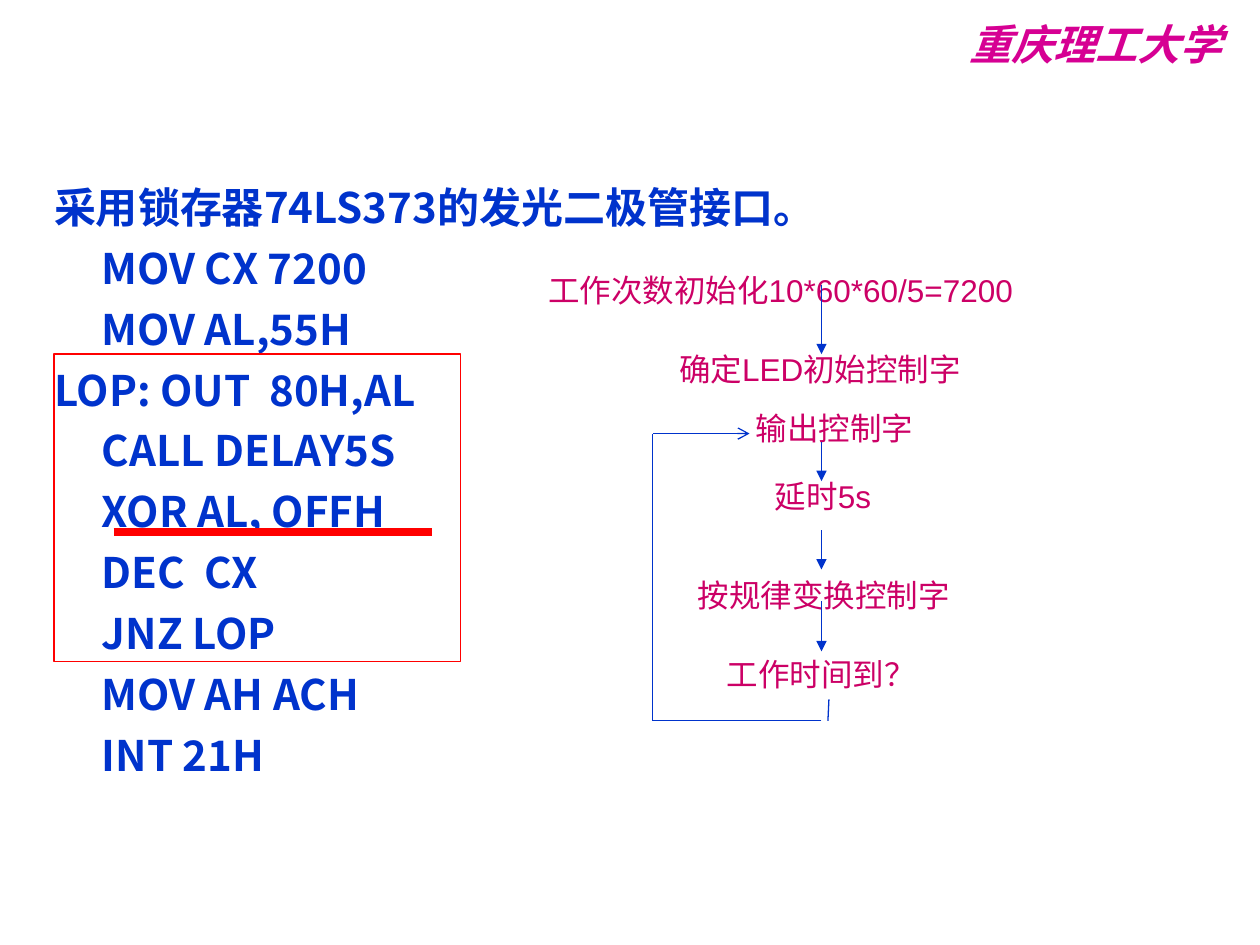
from lxml.etree import SubElement
from pptx import Presentation
from pptx.dml.color import RGBColor
from pptx.enum.shapes import MSO_CONNECTOR, MSO_SHAPE
from pptx.enum.text import MSO_AUTO_SIZE
from pptx.oxml.ns import qn
from pptx.util import Cm, Pt

COLORS = {"school": "D60093", "code": "0033CC", "step": "CC0066",
          "flow": "0033CC", "mark": "FF0000"}
LATIN, CJK = "Arial", "Noto Sans CJK SC"

SCHOOL = "重庆理工大学"
PROGRAM = [
    "采用锁存器74LS373的发光二极管接口。",
    "     MOV CX 7200",
    "     MOV AL,55H",
    "LOP: OUT  80H,AL",
    "     CALL DELAY5S",
    "     XOR AL, OFFH",
    "     DEC  CX",
    "     JNZ LOP",
    "     MOV AH ACH",
    "     INT 21H",
]
# text, left, top, width, wraps
STEPS = [
    ("工作次数初始化10*60*60/5=7200", 10.8, 5.33, 12.7, True),
    ("确定LED初始控制字", 13.44, 6.93, 6.6, False),
    ("延时5s", 15.37, 9.5, 2.77, True),
    ("输出控制字", 14.99, 8.13, 3.68, False),
    ("按规律变换控制字", 13.82, 11.48, 5.59, False),
    ("工作时间到？", 14.4, 13.08, 4.6, False),
]
STEP_HEIGHT = 1.02
FLOW_X = 16.56
STEP_ARROWS = [(5.74, 7.14), (8.92, 9.7), (10.69, 11.48), (12.12, 13.13)]
LOOP_X, LOOP_TOP, LOOP_BOTTOM, LOOP_END = 13.16, 8.74, 14.53, 15.11
LOOP_BOX = (1.09, 7.14, 8.2, 6.2)
XOR_UNDERLINE = (2.29, 10.72, 8.71, 10.72)


def add_text(slide, box, lines, size, color, font=LATIN, wraps=True, bold=None, italic=None):
    frame = slide.shapes.add_textbox(*map(Cm, box)).text_frame
    frame.word_wrap = wraps
    if not wraps:
        frame.auto_size = MSO_AUTO_SIZE.SHAPE_TO_FIT_TEXT
    for number, line in enumerate(lines):
        paragraph = frame.add_paragraph() if number else frame.paragraphs[0]
        run = paragraph.add_run()
        run.text = line
        run.font.size = Pt(size)
        run.font.bold, run.font.italic = bold, italic
        run.font.color.rgb = RGBColor.from_string(COLORS[color])
        run.font.name = font
        SubElement(run.font._element, qn("a:ea")).set("typeface", CJK)
    return frame


def add_line(slide, ends, color="flow", width=0.75, head=None):
    line = slide.shapes.add_connector(MSO_CONNECTOR.STRAIGHT, *map(Cm, ends))
    line.line.color.rgb = RGBColor.from_string(COLORS[color])
    line.line.width = Pt(width)
    if head:
        SubElement(line.line._get_or_add_ln(), qn("a:tailEnd")).set("type", head)
    SubElement(line._element.spPr, qn("a:effectLst"))


def add_program(slide):
    frame = add_text(slide, (0.84, 3.53, 23.85, 14.6), PROGRAM, 24, "code", CJK, bold=True)
    for paragraph in frame.paragraphs[1:]:
        paragraph.space_before = Pt(6)


def add_flow(slide):
    for text, left, top, width, wraps in STEPS:
        add_text(slide, (left, top, width, STEP_HEIGHT), [text], 18, "step", wraps=wraps)
    add_line(slide, (FLOW_X, LOOP_BOTTOM, LOOP_X, LOOP_BOTTOM))
    add_line(slide, (LOOP_X, LOOP_BOTTOM, LOOP_X, LOOP_TOP))
    for start, end in STEP_ARROWS:
        add_line(slide, (FLOW_X, start, FLOW_X, end), head="triangle")
    add_line(slide, (LOOP_X, LOOP_TOP, LOOP_END, LOOP_TOP), head="arrow")
    add_line(slide, (16.71, 14.1, 16.69, LOOP_BOTTOM))


def add_marks(slide):
    loop_box = slide.shapes.add_shape(MSO_SHAPE.RECTANGLE, *map(Cm, LOOP_BOX))
    loop_box.shadow.inherit = False
    loop_box.fill.background()
    loop_box.line.color.rgb = RGBColor.from_string(COLORS["mark"])
    loop_box.line.width = Pt(0.75)
    add_line(slide, XOR_UNDERLINE, "mark", 4.5)


def main():
    deck = Presentation()
    deck.slide_width, deck.slide_height = Cm(25.4), Cm(19.05)
    slide = deck.slides.add_slide(deck.slide_layouts[6])
    add_text(slide, (19.3, 0.25, 6.1, 1.27), [SCHOOL], 24, "school", bold=True, italic=True)
    add_program(slide)
    add_flow(slide)
    add_marks(slide)
    deck.save("out.pptx")


if __name__ == "__main__":
    main()
